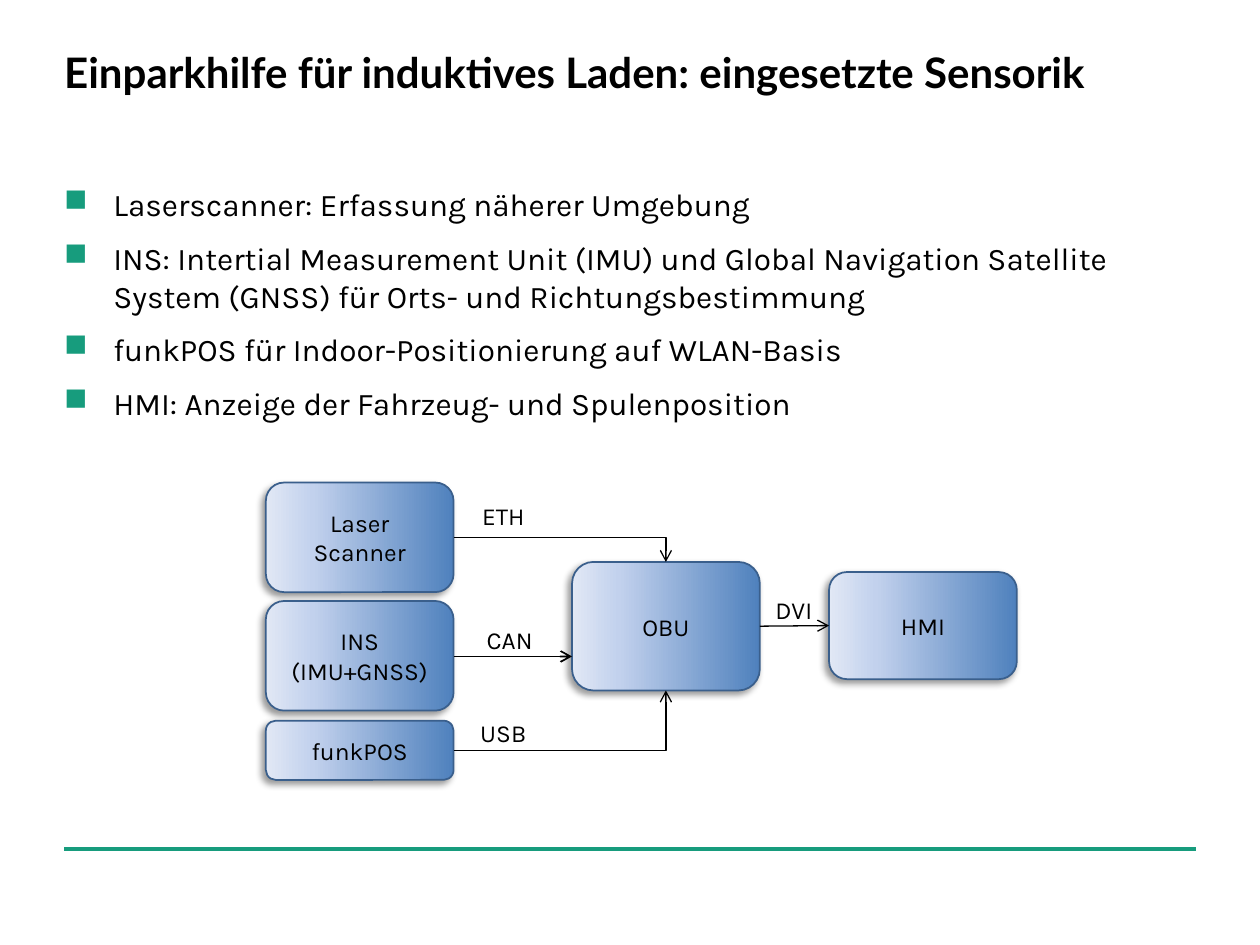
from dataclasses import dataclass

from lxml import etree
from pptx import Presentation
from pptx.dml.color import RGBColor
from pptx.enum.shapes import MSO_CONNECTOR, MSO_SHAPE
from pptx.enum.text import MSO_ANCHOR, PP_ALIGN
from pptx.oxml.ns import qn
from pptx.util import Inches, Pt

ROUNDED = MSO_SHAPE.ROUNDED_RECTANGLE
STRAIGHT, ELBOW = MSO_CONNECTOR.STRAIGHT, MSO_CONNECTOR.ELBOW
LEFT, CENTER = PP_ALIGN.LEFT, PP_ALIGN.CENTER
MIDDLE = MSO_ANCHOR.MIDDLE
TOP_SITE, LEFT_SITE, BOTTOM_SITE, RIGHT_SITE = range(4)


@dataclass(frozen=True)
class Theme:
    heading: str = "Lato"
    body: str = "Karla"
    black: str = "000000"
    accent: str = "179C7D"
    outline: str = "3A5F8C"
    gradient: tuple = ((0, "4F81BD"), (75, "C2D1ED"), (100, "E1E8F5"))
    title_size: int = 24
    bullet_size: int = 18
    label_size: int = 14


def child(parent, tag, **attrs):
    return etree.SubElement(parent, qn(tag), {k: str(v) for k, v in attrs.items()})


class SlideBuilder:
    def __init__(self, slide, theme):
        self.shapes = slide.shapes
        self.theme = theme

    def run(self, p, text, size, font=None, bold=False):
        r = p.add_run()
        r.text = text
        r.font.name = font or self.theme.body
        r.font.size = Pt(size)
        r.font.bold = bold
        r.font.color.rgb = RGBColor.from_string(self.theme.black)

    def text_frame(self, x, y, w, h, inset=True):
        tf = self.shapes.add_textbox(Inches(x), Inches(y), Inches(w), Inches(h)).text_frame
        tf.word_wrap = True
        if not inset:
            tf.margin_left = tf.margin_right = tf.margin_top = tf.margin_bottom = 0
        return tf

    def title(self, text, x, y, w, h):
        p = self.text_frame(x, y, w, h, inset=False).paragraphs[0]
        p.alignment = LEFT
        self.run(p, text, self.theme.title_size, self.theme.heading, True)

    def bullets(self, items, x, y, w, h):
        tf = self.text_frame(x, y, w, h, inset=False)
        indent = Inches(0.39)
        for i, text in enumerate(items):
            p = tf.add_paragraph() if i else tf.paragraphs[0]
            pPr = p._p.get_or_add_pPr()
            pPr.set("marL", str(indent))
            pPr.set("indent", str(-indent))
            child(child(pPr, "a:buClr"), "a:srgbClr", val=self.theme.accent)
            child(pPr, "a:buChar", char="■")
            p.space_after = Pt(9)
            self.run(p, text, self.theme.bullet_size)

    def label(self, text, x, y, w):
        p = self.text_frame(x, y, w, 0.34).paragraphs[0]
        p.alignment = CENTER
        self.run(p, text, self.theme.label_size)

    def box(self, lines, x, y, h):
        sp = self.shapes.add_shape(ROUNDED, Inches(x), Inches(y), Inches(1.49), Inches(h))
        sp.fill.gradient()
        sp.fill.gradient_angle = 180
        stops = sp._element.spPr.find(".//" + qn("a:gsLst"))
        for stop in list(stops):
            stops.remove(stop)
        for pos, color in self.theme.gradient:
            child(child(stops, "a:gs", pos=pos * 1000), "a:srgbClr", val=color)
        sp.line.color.rgb = RGBColor.from_string(self.theme.outline)
        sp.line.width = Pt(1)
        self.shadow(sp)
        tf = sp.text_frame
        tf.word_wrap = True
        tf.vertical_anchor = MIDDLE
        for i, text in enumerate(lines):
            p = tf.add_paragraph() if i else tf.paragraphs[0]
            p.alignment = CENTER
            self.run(p, text, self.theme.label_size)
        return sp

    def shadow(self, sp):
        sp.shadow.inherit = False
        effects = sp._element.spPr.find(qn("a:effectLst"))
        outer = child(effects, "a:outerShdw", blurRad=Pt(4), dist=Pt(3),
                      dir=135 * 60000, algn="tr", rotWithShape=0)
        color = child(outer, "a:srgbClr", val=self.theme.black)
        child(color, "a:alpha", val=40000)

    def line(self, x1, y1, x2, y2, color, width, arrow=False, kind=STRAIGHT):
        cx = self.shapes.add_connector(kind, Inches(x1), Inches(y1), Inches(x2), Inches(y2))
        cx.line.color.rgb = RGBColor.from_string(color)
        cx.line.width = Pt(width)
        spPr = cx._element.spPr
        if kind == ELBOW:
            spPr.find(qn("a:prstGeom")).set("prst", "bentConnector2")
        if arrow:
            child(spPr.find(qn("a:ln")), "a:tailEnd", type="arrow")
        child(spPr, "a:effectLst")
        return cx

    def link(self, source, target, site, kind=STRAIGHT):
        cx = self.line(0, 0, 0, 0, self.theme.black, 0.75, True, kind)
        cx.begin_connect(source, RIGHT_SITE)
        cx.end_connect(target, site)


def main():
    prs = Presentation()
    prs.slide_width, prs.slide_height = Inches(10), Inches(7.5)
    theme = Theme()
    s = SlideBuilder(prs.slides.add_slide(prs.slide_layouts[6]), theme)

    s.line(0.51, 6.74, 9.49, 6.74, theme.accent, 2.5)
    s.title("Einparkhilfe für induktives Laden: eingesetzte Sensorik", 0.51, 0.37, 8.98, 0.4)
    s.bullets([
        "Laserscanner: Erfassung näherer Umgebung",
        "INS: Intertial Measurement Unit (IMU) und Global Navigation Satellite "
        "System (GNSS) für Orts- und Richtungsbestimmung",
        "funkPOS für Indoor-Positionierung auf WLAN-Basis",
        "HMI: Anzeige der Fahrzeug- und Spulenposition",
    ], 0.51, 1.47, 8.98, 4.65)

    sensor_x = 2.11
    obu = s.box(["OBU"], 4.54, 4.46, 1.02)
    laser = s.box(["Laser Scanner"], sensor_x, 3.83, 0.87)
    s.box(["INS", "(IMU+GNSS)"], sensor_x, 4.77, 0.87)
    indoor = s.box(["funkPOS"], sensor_x, 5.72, 0.47)
    hmi = s.box(["HMI"], 6.58, 4.54, 0.85)

    s.link(laser, obu, TOP_SITE, ELBOW)
    s.line(3.6, 5.21, 4.54, 5.21, theme.black, 1, arrow=True)
    s.link(indoor, obu, BOTTOM_SITE, ELBOW)
    s.link(obu, hmi, LEFT_SITE)

    for text, x, y, w in [
        ("ETH", 3.43, 3.93, 1.13),
        ("CAN", 3.48, 4.91, 1.13),
        ("USB", 3.43, 5.65, 1.13),
        ("DVI", 6.03, 4.67, 0.54),
    ]:
        s.label(text, x, y, w)

    prs.save("out.pptx")


if __name__ == "__main__":
    main()
